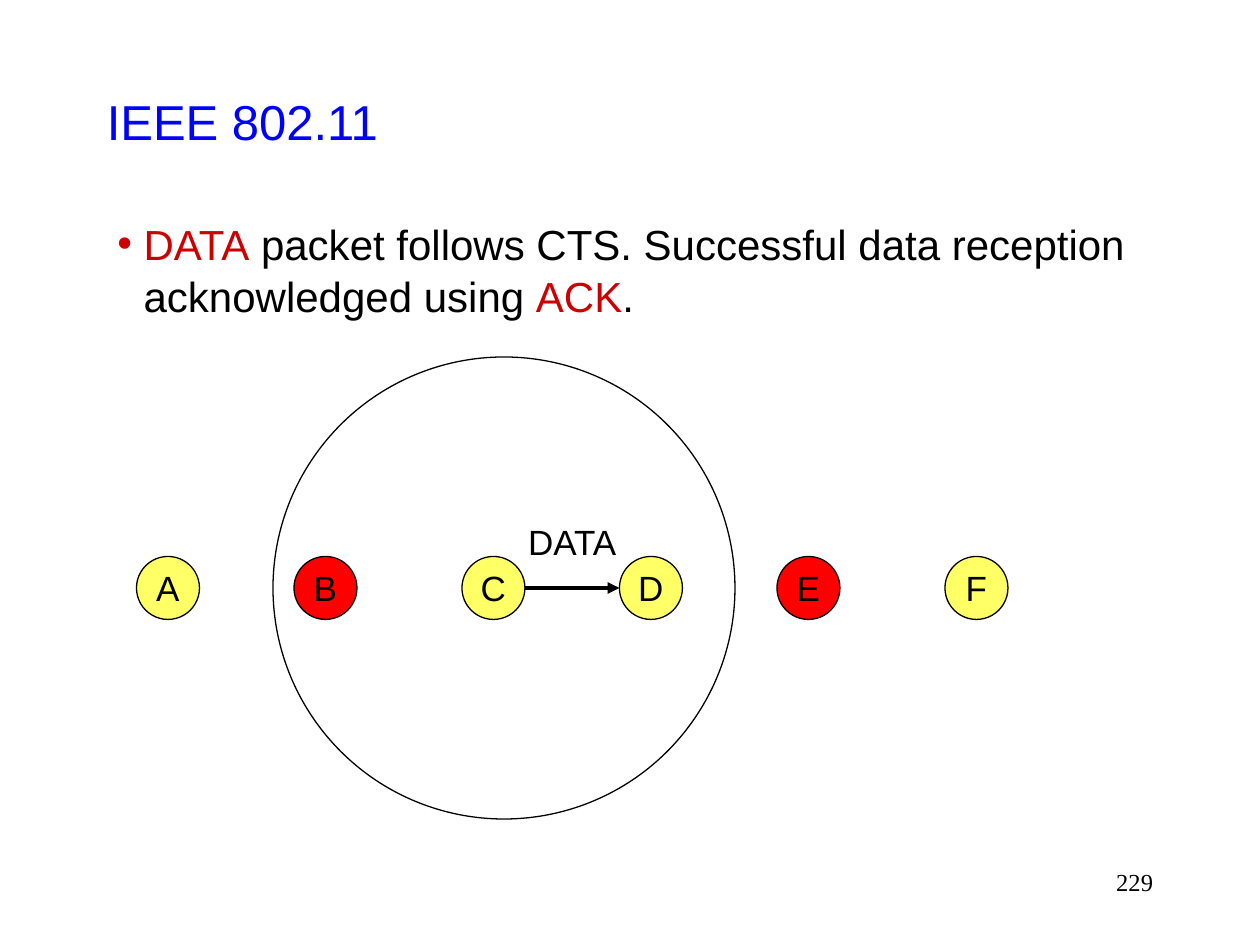
from dataclasses import dataclass

from lxml.etree import SubElement
from pptx import Presentation
from pptx.dml.color import RGBColor
from pptx.enum.shapes import MSO_CONNECTOR, MSO_SHAPE
from pptx.enum.text import MSO_ANCHOR, PP_ALIGN
from pptx.oxml.ns import qn
from pptx.util import Pt


@dataclass(frozen=True)
class Theme:
    black: str = "000000"
    title: str = "0000FF"
    accent: str = "CC0000"
    idle: str = "FFFF66"
    blocked: str = "FF0000"
    font: str = "Arial"
    number_font: str = "Times New Roman"
    title_size: int = 28
    body_size: int = 24
    label_size: int = 20
    number_size: int = 14
    outline: float = 0.75
    arrow: float = 2.25


THEME = Theme()


def rgb(color):
    return RGBColor.from_string(color)


def add_run(paragraph, text, size, color=THEME.black, font=THEME.font):
    run = paragraph.add_run()
    run.text = text
    run.font.size = Pt(size)
    run.font.name = font
    run.font.color.rgb = rgb(color)


def add_text_box(slide, box, wrap=True, anchor=MSO_ANCHOR.TOP):
    frame = slide.shapes.add_textbox(*map(Pt, box)).text_frame
    frame.word_wrap = wrap
    frame.vertical_anchor = anchor
    return frame


def add_circle(slide, box, fill=None):
    circle = slide.shapes.add_shape(MSO_SHAPE.OVAL, *map(Pt, box))
    circle.shadow.inherit = False
    if fill:
        circle.fill.solid()
        circle.fill.fore_color.rgb = rgb(fill)
    else:
        circle.fill.background()
    circle.line.color.rgb = rgb(THEME.black)
    circle.line.width = Pt(THEME.outline)
    return circle


def add_title(slide, box):
    frame = add_text_box(slide, box, anchor=MSO_ANCHOR.MIDDLE)
    add_run(frame.paragraphs[0], "IEEE 802.11", THEME.title_size, THEME.title)


def add_bullet(slide, box):
    paragraph = add_text_box(slide, box).paragraphs[0]
    paragraph.space_before = Pt(6)
    paragraph.line_spacing = 1.04
    properties = paragraph._p.get_or_add_pPr()
    properties.set("marL", str(Pt(15)))
    properties.set("indent", str(-Pt(15)))
    bullet_color = SubElement(properties, qn("a:buClr"))
    SubElement(bullet_color, qn("a:srgbClr"), val=THEME.accent)
    SubElement(properties, qn("a:buFont"), typeface=THEME.font)
    SubElement(properties, qn("a:buChar"), char="•")
    for text, color in (
        ("DATA", THEME.accent),
        (" packet follows CTS. Successful data reception acknowledged using ", THEME.black),
        ("ACK", THEME.accent),
        (".", THEME.black),
    ):
        add_run(paragraph, text, THEME.body_size, color)


def add_node(slide, name, box, fill):
    node = add_circle(slide, box, fill)
    frame = node.text_frame
    frame.word_wrap = False
    frame.vertical_anchor = MSO_ANCHOR.MIDDLE
    frame.paragraphs[0].alignment = PP_ALIGN.CENTER
    add_run(frame.paragraphs[0], name, THEME.label_size)


def add_transmission(slide, start, end, y):
    """Draw the DATA arrow with its label centred above it."""
    arrow = slide.shapes.add_connector(
        MSO_CONNECTOR.STRAIGHT, Pt(start), Pt(y), Pt(end), Pt(y))
    arrow.line.color.rgb = rgb(THEME.black)
    arrow.line.width = Pt(THEME.arrow)
    SubElement(arrow.line._get_or_add_ln(), qn("a:tailEnd"), type="triangle")
    SubElement(arrow._element.spPr, qn("a:effectLst"))

    width = 68
    label_box = ((start + end - width) / 2, y - 42, width, 32)
    label = add_text_box(slide, label_box, wrap=False).paragraphs[0]
    label.alignment = PP_ALIGN.CENTER
    add_run(label, "DATA", THEME.label_size)


def add_network(slide, box):
    """Place the row of nodes on the middle line of the box, and C's range around it."""
    left, top, _, height = box
    middle = top + height / 2
    diameter = 36
    offsets = {"A": 0, "B": 90, "C": 186, "D": 276, "E": 366, "F": 462}
    for name, offset in offsets.items():
        fill = THEME.blocked if name in "BE" else THEME.idle
        node_box = (left + offset, middle - diameter / 2, diameter, diameter)
        add_node(slide, name, node_box, fill)
    add_transmission(slide, left + offsets["C"] + diameter, left + offsets["D"], middle)
    add_circle(slide, (left + 78, top, height, height))


def add_slide_number(slide, box):
    paragraph = add_text_box(slide, box).paragraphs[0]
    paragraph.alignment = PP_ALIGN.RIGHT
    add_run(paragraph, "229", THEME.number_size, font=THEME.number_font)


def main():
    deck = Presentation()
    deck.slide_width, deck.slide_height = Pt(720), Pt(540)
    slide = deck.slides.add_slide(deck.slide_layouts[6])
    add_network(slide, (78, 204, 498, 264))
    add_bullet(slide, (60, 120, 600, 65))
    add_title(slide, (54, 24, 612, 90))
    add_slide_number(slide, (516, 492, 150, 36))
    deck.save("out.pptx")


if __name__ == "__main__":
    main()
